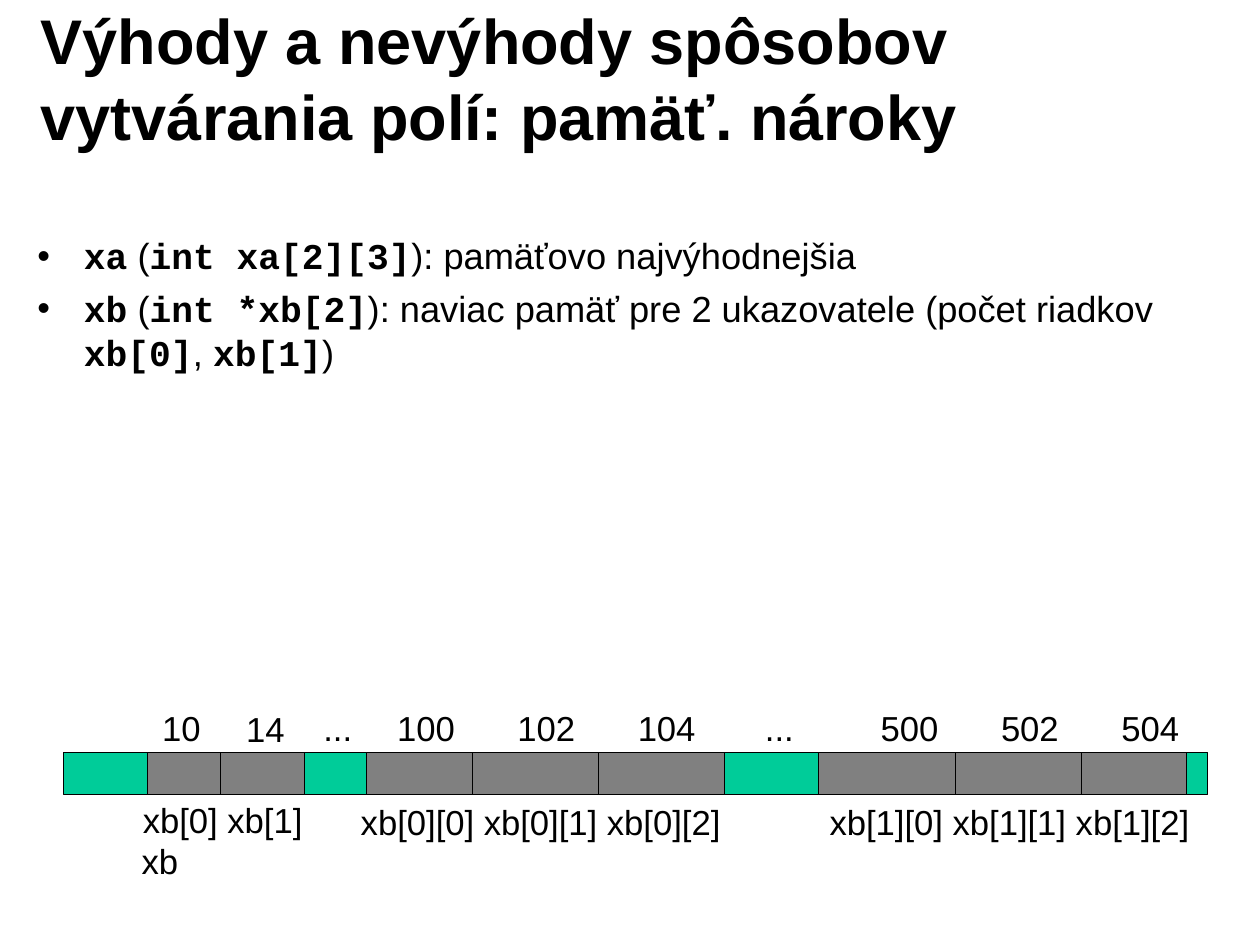
from lxml.etree import SubElement
from pptx import Presentation
from pptx.dml.color import RGBColor
from pptx.enum.shapes import MSO_CONNECTOR, MSO_SHAPE
from pptx.enum.text import MSO_ANCHOR, MSO_AUTO_SIZE, PP_ALIGN
from pptx.oxml.ns import qn
from pptx.util import Pt

SCALE = 9144  # EMU in one px, 100 px to the inch
COLORS = {"text": "000000", "used": "808080", "gap": "00CC99"}
SANS, MONO = "Arial", "Courier New"
BAR_TOP, BAR_HIGH = 663, 37

TITLE = "Výhody a nevýhody spôsobov vytvárania polí: pamäť. nároky"
# Code and plain text take turns in each item.
ITEMS = [
    ["xa", " (", "int xa[2][3]", "): pamäťovo najvýhodnejšia"],
    ["xb", " (", "int *xb[2]",
     "): naviac pamäť pre 2 ukazovatele (počet riadkov ",
     "xb[0]", ", ", "xb[1]", ")"],
]
GAPS = [(56, 74), (268, 55), (638, 83), (1045, 19)]
SPLITS = [194, 416, 527, 842, 953]
# Text, left, top, width
LABELS = [
    ("10", 133, 618, 60), ("14", 207, 619, 60),
    ("...", 275, 618, 52), ("...", 664, 618, 52),
    ("xb[0] xb[1]", 116, 699, 170), ("xb", 115, 735, 60),
    ("xb[0][0] xb[0][1] xb[0][2]", 308, 701, 347),
    ("xb[1][0] xb[1][1] xb[1][2]", 721, 701, 347),
]
ROWS = [(100, 340), (500, 766)]  # first address, left


def px(n):
    return n * SCALE


def color(name):
    return RGBColor.from_string(COLORS[name])


def style(para, size, bold=None):
    para.alignment = PP_ALIGN.LEFT
    font = para.font
    font.size, font.bold, font.name = Pt(size), bold, SANS
    font.color.rgb = color("text")


def add_frame(slide, x, y, w, h, inset):
    """Add a text box with (side, top) insets and return its text frame."""
    frame = slide.shapes.add_textbox(px(x), px(y), px(w), px(h)).text_frame
    frame.margin_left = frame.margin_right = px(inset[0])
    frame.margin_top = frame.margin_bottom = px(inset[1])
    frame.word_wrap = True
    return frame


def add_title(slide):
    frame = add_frame(slide, 25, 17, 891, 102, (11, 6))
    frame.vertical_anchor = MSO_ANCHOR.MIDDLE
    para = frame.paragraphs[0]
    para.text = TITLE
    style(para, 40, True)


def add_bullet(para):
    props = para._p.get_or_add_pPr()
    props.set("marL", str(px(41)))
    props.set("indent", str(px(-41)))
    SubElement(props, qn("a:buFont"), typeface=SANS)
    SubElement(props, qn("a:buChar"), char="•")


def add_list(slide):
    frame = add_frame(slide, 22, 200, 1066, 230, (11, 6))
    for i, parts in enumerate(ITEMS):
        para = frame.add_paragraph() if i else frame.paragraphs[0]
        add_bullet(para)
        style(para, 23)
        if i:
            para.space_before = Pt(5.8)
        for j, part in enumerate(parts):
            run = para.add_run()
            run.text = part
            if j % 2 == 0:
                run.font.name, run.font.bold = MONO, True


def add_label(slide, text, x, y, w):
    frame = add_frame(slide, x, y, w, 47, (10, 5))
    frame.auto_size = MSO_AUTO_SIZE.SHAPE_TO_FIT_TEXT
    para = frame.paragraphs[0]
    para.text = text
    style(para, 22)


def set_line(shape):
    shape.line.color.rgb = color("text")
    shape.line.width = Pt(0.75)


def add_block(slide, x, w, fill):
    block = slide.shapes.add_shape(
        MSO_SHAPE.RECTANGLE, px(x), px(BAR_TOP), px(w), px(BAR_HIGH))
    block.shadow.inherit = False
    block.fill.solid()
    block.fill.fore_color.rgb = color(fill)
    set_line(block)


def add_split(slide, x):
    split = slide.shapes.add_connector(
        MSO_CONNECTOR.STRAIGHT,
        px(x), px(BAR_TOP), px(x), px(BAR_TOP + BAR_HIGH))
    set_line(split)
    SubElement(split._element.spPr, qn("a:effectLst"))


def add_bar(slide):
    add_block(slide, 130, 925, "used")
    for x in SPLITS:
        add_split(slide, x)
    for x, w in GAPS:
        add_block(slide, x, w, "gap")


def add_labels(slide):
    for label in LABELS:
        add_label(slide, *label)
    for first, left in ROWS:
        for i in range(3):
            add_label(slide, str(first + 2 * i), left + 106 * i, 618, 78)


def main():
    deck = Presentation()
    deck.slide_width, deck.slide_height = px(1110), px(830)
    slide = deck.slides.add_slide(deck.slide_layouts[6])
    add_title(slide)
    add_list(slide)
    add_bar(slide)
    add_labels(slide)
    deck.save("out.pptx")


if __name__ == "__main__":
    main()
